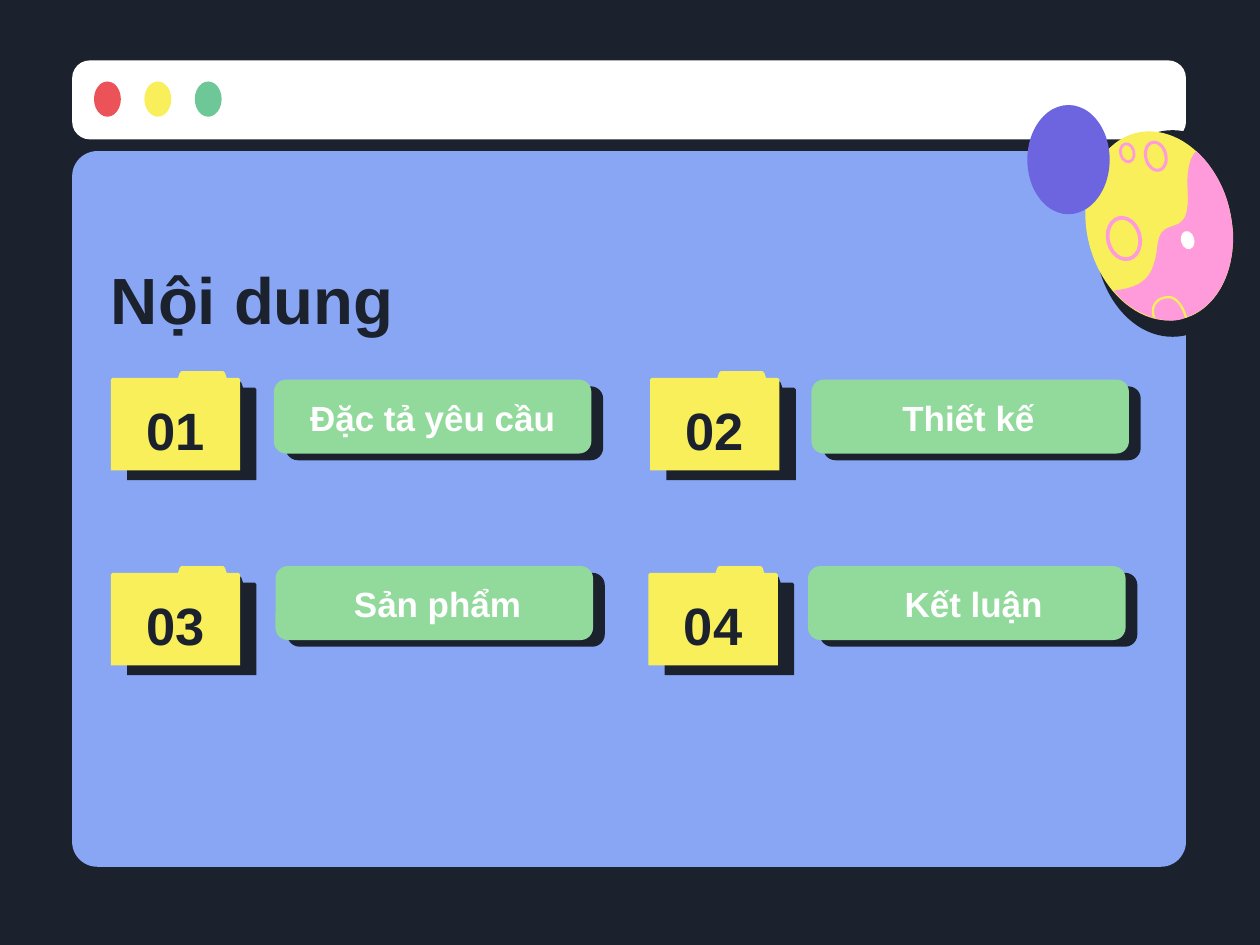
from lxml import etree
from pptx import Presentation
from pptx.dml.color import RGBColor
from pptx.enum.shapes import MSO_SHAPE as Preset
from pptx.enum.text import MSO_ANCHOR as Anchor, PP_ALIGN as Align
from pptx.oxml.ns import qn
from pptx.util import Inches, Pt

COLORS = {
    "ink": "1B222D", "white": "FFFFFF", "red": "EB5358", "yellow": "F8EF5B",
    "mint": "6DC797", "blue": "88A6F3", "pink": "FF9BDA", "purple": "6D65E0",
    "green": "92D99C",
}
# number, label, folder corner, bar corner, label centre
TOPICS = [
    ("01", "Đặc tả yêu cầu", (0.66, 2.21), (1.63, 2.26), 2.57),
    ("02", "Thiết kế", (3.87, 2.21), (4.83, 2.26), 5.76),
    ("03", "Sản phẩm", (0.66, 3.37), (1.64, 3.37), 2.6),
    ("04", "Kết luận", (3.86, 3.37), (4.81, 3.37), 5.79),
]


def rgb(name):
    return RGBColor.from_string(COLORS[name])


def paint(shape, fill=None, line=None, weight=1):
    shape.shadow.inherit = False
    if fill:
        shape.fill.solid()
        shape.fill.fore_color.rgb = rgb(fill)
    else:
        shape.fill.background()
    if line:
        shape.line.color.rgb = rgb(line)
        shape.line.width = Pt(weight)
    else:
        shape.line.fill.background()
    return shape


def add_preset(slide, preset, box, fill=None, line=None, weight=1):
    shape = slide.shapes.add_shape(preset, *map(Inches, box))
    return paint(shape, fill, line, weight)


def add_panel(slide, box, fill, rounding):
    panel = add_preset(slide, Preset.ROUNDED_RECTANGLE, box, fill)
    panel.adjustments[0] = rounding


def add_oval(slide, center, size, tilt=0, **style):
    (x, y), (w, h) = center, size
    oval = add_preset(slide, Preset.OVAL, (x - w / 2, y - h / 2, w, h), **style)
    oval.rotation = tilt


def add_outline(slide, points, close=True):
    start, *others = [(Inches(x), Inches(y)) for x, y in points]
    builder = slide.shapes.build_freeform(*start)
    builder.add_line_segments(others, close=close)
    return builder.convert_to_shape()


def trace_curves(start, curves, steps=12):
    """Points along a chain of cubic Bézier curves."""
    points = [start]
    for first, second, end in curves:
        begin = points[-1]
        for step in range(1, steps + 1):
            t = step / steps
            weights = ((1 - t) ** 3, 3 * t * (1 - t) ** 2, 3 * t * t * (1 - t), t ** 3)
            knots = (begin, first, second, end)
            points.append(tuple(sum(w * k[axis] for w, k in zip(weights, knots))
                                for axis in (0, 1)))
    return points


def add_text(slide, box, text, size, color, align=Align.CENTER, anchor=Anchor.MIDDLE):
    frame = slide.shapes.add_textbox(*map(Inches, box)).text_frame
    frame.word_wrap = True
    frame.vertical_anchor = anchor
    frame.margin_left = frame.margin_right = Inches(0.07)
    frame.margin_top = frame.margin_bottom = Inches(0.07)
    paragraph = frame.paragraphs[0]
    paragraph.text = text
    paragraph.alignment = align
    font = paragraph.font
    font.name, font.size, font.bold = "Arial", Pt(size), True
    font.color.rgb = rgb(color)


def add_window(slide, box):
    x, y, width, height = box
    # Title bar with its three buttons
    add_panel(slide, (x, y, width, 0.47), "white", 0.223)
    for index, color in enumerate(("red", "yellow", "mint")):
        add_oval(slide, (x + 0.21 + 0.3 * index, y + 0.23), (0.16, 0.21), fill=color)
    # Content pane
    add_panel(slide, (x, y + 0.54, width, height - 0.54), "blue", 0.035)


def add_egg(slide, box):
    x, y, width, height = box
    tilt = -14

    def place(points):
        return [(x + dx, y + dy) for dx, dy in points]

    # Shadow and shell
    add_oval(slide, (x + 0.52, y + 0.61), (0.93, 1.23), fill="ink")
    add_oval(slide, (x + width / 2, y + height / 2), (0.86, 1.14), tilt, fill="yellow")
    # Pink rings
    for dx, dy, w, h, weight in ((0.42, 0.15, 0.12, 0.17, 1.3),
                                 (0.23, 0.64, 0.19, 0.25, 1.6),
                                 (0.25, 0.13, 0.08, 0.11, 1.2)):
        add_oval(slide, (x + dx, y + dy), (w, h), tilt, line="pink", weight=weight)
    # Pink side
    side = trace_curves((0.66, 0.12), [
        ((0.73, 0.18), (0.79, 0.27), (0.83, 0.37)),
        ((0.86, 0.45), (0.87, 0.52), (0.88, 0.6)),
        ((0.89, 0.85), (0.78, 1.05), (0.6, 1.11)),
        ((0.54, 1.14), (0.46, 1.13), (0.4, 1.11)),
        ((0.31, 1.08), (0.23, 1.03), (0.17, 0.95)),
        ((0.35, 0.93), (0.41, 0.87), (0.43, 0.68)),
        ((0.45, 0.48), (0.63, 0.67), (0.61, 0.36)),
        ((0.6, 0.22), (0.63, 0.15), (0.66, 0.12)),
    ])
    paint(add_outline(slide, place(side)), "pink")
    # Yellow arc and highlight
    arc = trace_curves((0.6, 1.11), [
        ((0.57, 1.01), (0.52, 0.98), (0.48, 0.99)),
        ((0.41, 1), (0.39, 1.06), (0.41, 1.11)),
    ])
    paint(add_outline(slide, place(arc), close=False), line="yellow", weight=1)
    add_oval(slide, (x + 0.61, y + 0.65), (0.08, 0.11), tilt, fill="white")


def add_folder(slide, box, number):
    x, y, width, height = box
    corners = [(0, 0.05), (0.01, 0.04), (0.4, 0.04), (0.41, 0.01), (0.42, 0),
               (0.67, 0), (0.68, 0.01), (0.69, 0.04), (width - 0.01, 0.04),
               (width, 0.05), (width, height), (0, height)]
    folder = paint(add_outline(slide, [(x + dx, y + dy) for dx, dy in corners]), "yellow")
    # Hard shadow to the lower right
    effects = folder._element.spPr.find(qn("a:effectLst"))
    shadow = etree.SubElement(effects, qn("a:outerShdw"), dist=str(Pt(8.2)),
                              dir=str(31 * 60000), algn="bl", rotWithShape="0")
    etree.SubElement(shadow, qn("a:srgbClr"), val=COLORS["ink"])
    add_text(slide, (x + 0.06, y + 0.1, 0.65, 0.49), number, 22.5, "ink")


def add_topic_bar(slide, box, label, label_center):
    x, y, width, height = box
    add_panel(slide, (x + 0.07, y + 0.04, width, height), "ink", 0.167)
    add_panel(slide, box, "green", 0.167)
    add_text(slide, (label_center - 0.9, y + 0.09, 1.81, 0.33), label, 15, "white",
             anchor=Anchor.BOTTOM)


def add_contents_slide(deck):
    slide = deck.slides.add_slide(deck.slide_layouts[6])
    slide.background.fill.solid()
    slide.background.fill.fore_color.rgb = rgb("ink")
    add_window(slide, (0.43, 0.36, 6.63, 4.8))
    add_egg(slide, (6.46, 0.78, 0.88, 1.13))
    add_oval(slide, (6.36, 0.95), (0.49, 0.65), fill="purple")
    for number, label, folder_corner, bar_corner, label_center in TOPICS:
        add_topic_bar(slide, (*bar_corner, 1.89, 0.44), label, label_center)
        add_folder(slide, (*folder_corner, 0.77, 0.59), number)
    add_text(slide, (0.59, 1.47, 6.32, 0.46), "Nội dung", 28, "ink",
             Align.LEFT, Anchor.TOP)


def main():
    deck = Presentation()
    # A 4:3 slide
    deck.slide_width, deck.slide_height = Inches(7.5), Inches(7.5 * 3 / 4)
    add_contents_slide(deck)
    deck.save("out.pptx")


if __name__ == "__main__":
    main()
